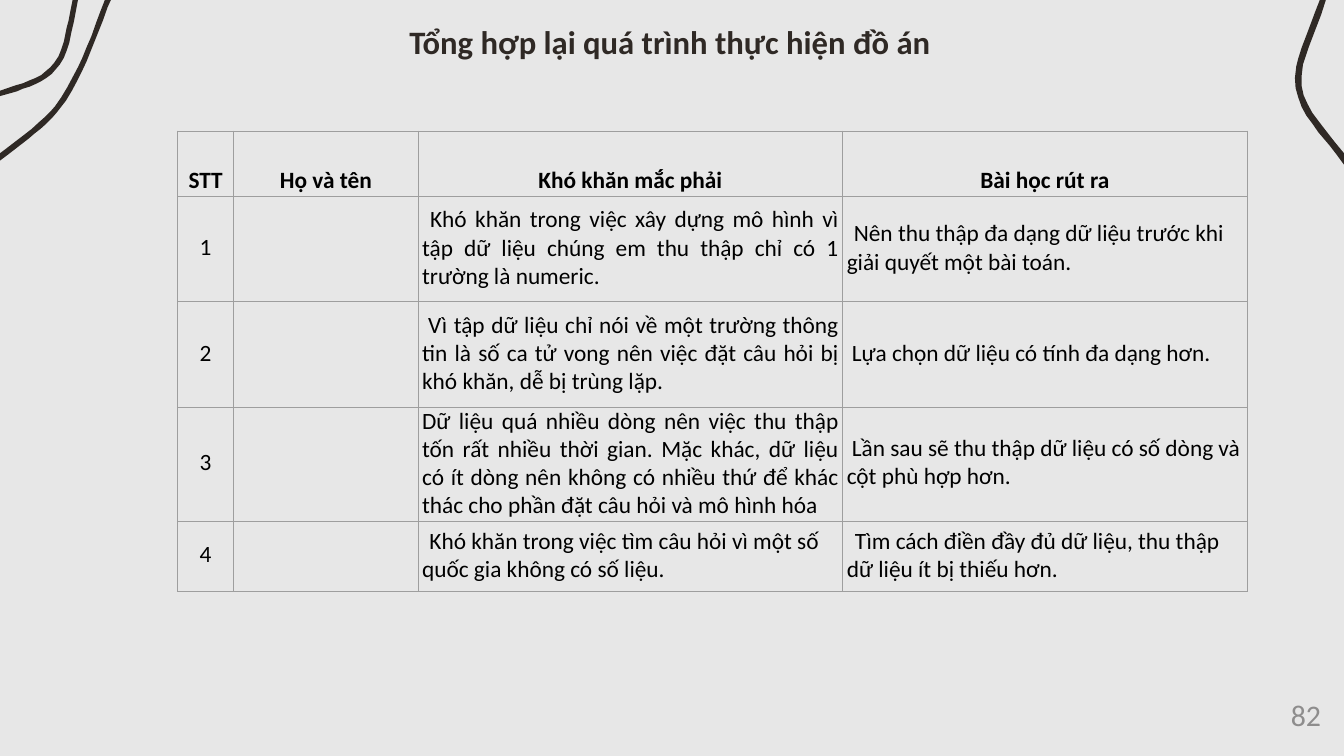
import pptx
import pptx.util
import pptx.dml.color
import pptx.enum.text
import pptx.oxml
import pptx.oxml.ns

Pt = pptx.util.Pt
ALIGN = pptx.enum.text.PP_ALIGN
FONT = "Calibri"
COLORS = {"background": "E7E7E7", "ink": "2F2925", "text": "000000",
          "border": "9E9E9E", "number": "8E8D8D"}


def color(name):
    return pptx.dml.color.RGBColor.from_string(COLORS[name])


def style(para, size, color_name, bold=False, align=ALIGN.LEFT):
    para.alignment = align
    for span in para.runs:
        span.font.name = FONT
        span.font.size = Pt(size)
        span.font.bold = bold
        span.font.color.rgb = color(color_name)


deck = pptx.Presentation()
deck.slide_width, deck.slide_height = Pt(1440), Pt(810)
page = deck.slides.add_slide(deck.slide_layouts[5])
page.background.fill.solid()
page.background.fill.fore_color.rgb = color("background")

# Outline points are in hundredths of an inch, 0.72 pt each.
left_curves = [
    [(116, 0), (108, 0), (105, 15), (102, 31), (99, 42), (95, 62), (91, 74), (87, 84),
     (81, 93), (75, 100), (68, 106), (61, 112), (53, 116), (43, 120), (34, 124), (23, 127),
     (0, 135), (0, 143), (25, 136), (34, 132), (44, 129), (53, 125), (61, 121), (69, 116),
     (77, 110), (83, 103), (89, 96), (95, 86), (99, 76), (103, 64), (106, 49), (110, 32)],
    [(165, 0), (156, 0), (149, 18), (143, 34), (136, 54), (129, 70), (123, 85), (116, 100),
     (108, 115), (100, 130), (91, 145), (82, 158), (75, 166), (67, 174), (59, 181),
     (47, 192), (38, 199), (12, 219), (0, 228), (0, 239), (12, 230), (43, 206), (51, 199),
     (60, 192), (69, 184), (77, 176), (84, 168), (91, 159), (98, 150), (107, 135),
     (115, 120), (122, 106), (129, 91), (135, 76), (141, 61), (147, 46), (153, 31), (160, 11)],
]
right_curves = [
    [(1973, 0), (1964, 0), (1957, 18), (1945, 50), (1937, 71), (1932, 87), (1929, 99),
     (1927, 116), (1928, 131), (1932, 145), (1937, 159), (1944, 172), (1953, 184),
     (1962, 197), (1979, 217), (1989, 230), (2000, 245), (2000, 228), (1986, 211),
     (1972, 193), (1962, 180), (1953, 168), (1946, 155), (1940, 142), (1937, 128),
     (1937, 113), (1939, 96), (1943, 84), (1948, 69), (1956, 48), (1966, 22)],
]
for curves in (left_curves, right_curves):
    builder = page.shapes.build_freeform(*curves[0][0], scale=Pt(0.72))
    for curve in curves:
        builder.move_to(*curve[0])
        builder.add_line_segments(curve[1:], close=True)
    outline = builder.convert_to_shape()
    outline.shadow.inherit = False
    outline.fill.solid()
    outline.fill.fore_color.rgb = color("ink")
    outline.line.fill.background()

title = page.shapes.title
title.left, title.top, title.width, title.height = Pt(438.5), Pt(23.8), Pt(563), Pt(43.9)
number = page.shapes.add_textbox(Pt(1380.2), Pt(753.1), Pt(39.6), Pt(33.8))
for box, text, size, color_name, bold in [
        (title, "Tổng hợp lại quá trình thực hiện đồ án", 35, "ink", True),
        (number, "82", 32, "number", False)]:
    frame = box.text_frame
    frame.text = text
    frame.word_wrap = True
    frame.auto_size = pptx.enum.text.MSO_AUTO_SIZE.NONE
    frame.vertical_anchor = pptx.enum.text.MSO_ANCHOR.TOP
    frame.margin_left = frame.margin_top = frame.margin_right = frame.margin_bottom = 0
    style(frame.paragraphs[0], size, color_name, bold)
number.text_frame.margin_left = Pt(2.9)
number.text_frame.paragraphs[0].line_spacing = Pt(31.4)

column_widths = [60.5, 197.3, 455, 433.4]
row_heights = [69.8, 113, 113, 122.4, 74.9]
CENTER, LEFT, JUSTIFY = ALIGN.CENTER, ALIGN.LEFT, ALIGN.JUSTIFY
# Each cell: text, top margin, first-line indent, alignment.
rows = [
    [(heading, 38, 0, CENTER)
     for heading in ("STT", "Họ và tên", "Khó khăn mắc phải", "Bài học rút ra")],
    [("1", 40, 0, CENTER), ("", 0, 0, LEFT),
     ("Khó khăn trong việc xây dựng mô hình vì tập dữ liệu chúng em thu thập "
      "chỉ có 1 trường là numeric.", 10, 8.6, JUSTIFY),
     ("Nên thu thập đa dạng dữ liệu trước khi\ngiải quyết một bài toán.", 25, 7.6, LEFT)],
    [("2", 40, 0, CENTER), ("", 0, 0, LEFT),
     ("Vì tập dữ liệu chỉ nói về một trường thông tin là số ca tử vong nên việc "
      "đặt câu hỏi bị khó khăn, dễ bị trùng lặp.", 10, 6.5, JUSTIFY),
     ("Lựa chọn dữ liệu có tính đa dạng hơn.", 40, 5.4, LEFT)],
    [("3", 44.5, 0, CENTER), ("", 0, 0, LEFT),
     ("Dữ liệu quá nhiều dòng nên việc thu thập tốn rất nhiều thời gian. Mặc khác, "
      "dữ liệu có ít dòng nên không có nhiều thứ để khác thác cho phần đặt câu hỏi "
      "và mô hình hóa", 0.6, 0, JUSTIFY),
     ("Lần sau sẽ thu thập dữ liệu có số dòng và\ncột phù hợp hơn.", 29, 5.4, LEFT)],
    [("4", 20.9, 0, CENTER), ("", 0, 0, LEFT),
     ("Khó khăn trong việc tìm câu hỏi vì một số quốc gia không có số liệu.", 5.9, 7.9, LEFT),
     ("Tìm cách điền đầy đủ dữ liệu, thu thập dữ liệu ít bị thiếu hơn.", 5.9, 8.6, LEFT)],
]
table = page.shapes.add_table(len(rows), len(column_widths), Pt(190), Pt(140.4),
                              Pt(sum(column_widths)), Pt(sum(row_heights))).table
table.first_row = table.horz_banding = False
for column, width in zip(table.columns, column_widths):
    column.width = Pt(width)
for row, height in zip(table.rows, row_heights):
    row.height = Pt(height)

for row_index, row in enumerate(rows):
    for column_index, (text, top, indent, align) in enumerate(row):
        cell = table.cell(row_index, column_index)
        side = 4.5 if column_index > 1 and row_index > 0 else 0
        cell.margin_left = cell.margin_right = Pt(side)
        cell.margin_top, cell.margin_bottom = Pt(top), 0
        properties = cell._tc.get_or_add_tcPr()
        for edge in ("lnL", "lnR", "lnT", "lnB"):
            properties.append(pptx.oxml.parse_xml(
                f'<a:{edge} {pptx.oxml.ns.nsdecls("a")} w="{Pt(0.75)}"><a:solidFill>'
                f'<a:srgbClr val="{COLORS["border"]}"/></a:solidFill></a:{edge}>'))
        cell.fill.background()
        cell.text_frame.text = text
        for para in cell.text_frame.paragraphs:
            style(para, 25, "text", row_index == 0, align)
        first = cell.text_frame.paragraphs[0]
        if indent:
            first._p.get_or_add_pPr().set("indent", str(Pt(indent)))
        if align == JUSTIFY and not indent:
            first.line_spacing = Pt(30)

deck.save("out.pptx")
